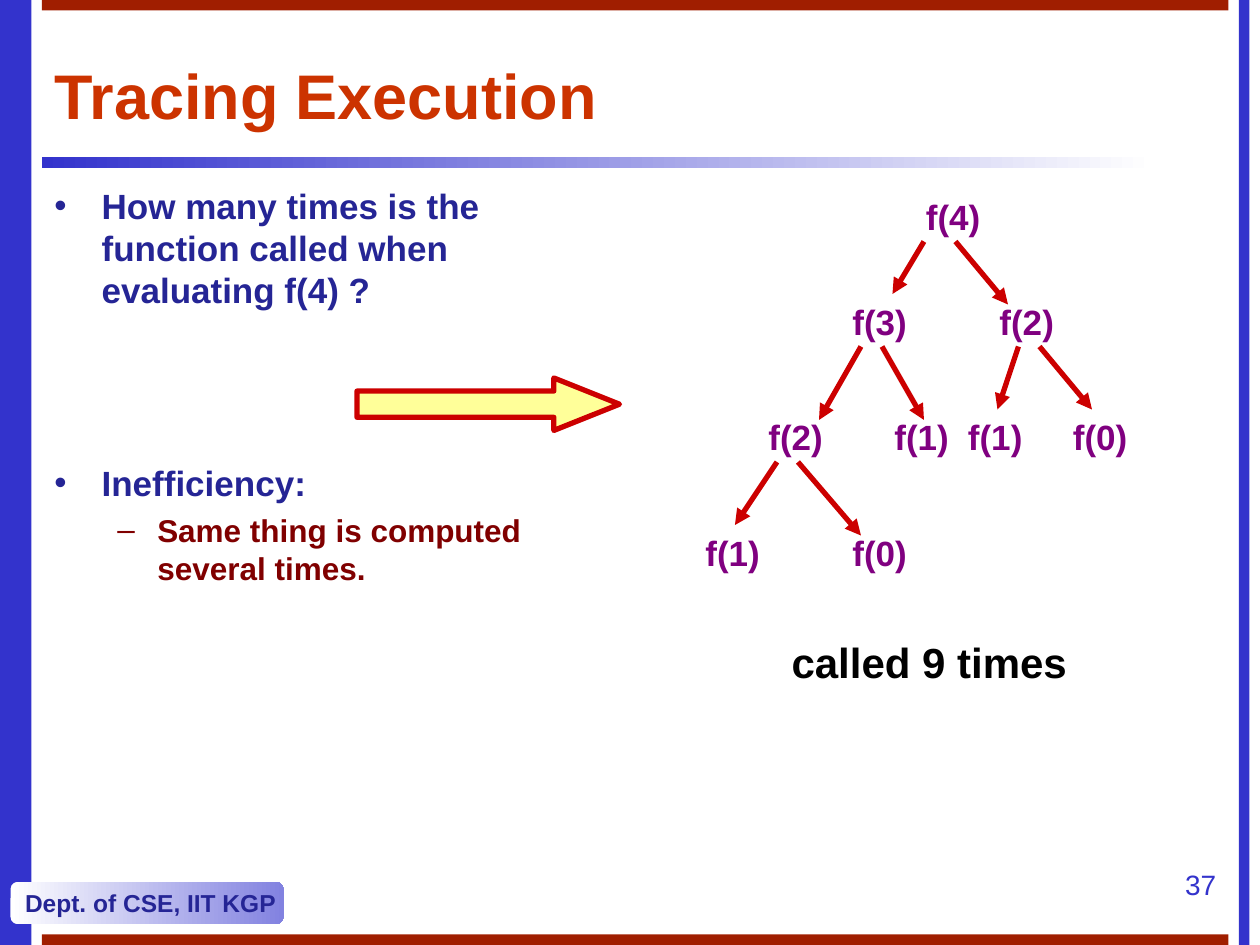
from dataclasses import dataclass

import pptx
import pptx.dml.color
import pptx.enum.shapes
import pptx.enum.text
import pptx.oxml
import pptx.oxml.ns
import pptx.util

PX = 7620
COLORS = {
    "blue": "3333CC", "navy": "252595", "lilac": "8282E0", "white": "FFFFFF",
    "brick": "A01E00", "title": "CC3300", "maroon": "800000", "purple": "800080",
    "red": "CC0000", "yellow": "FFFF99", "black": "000000",
}
SHAPE = pptx.enum.shapes.MSO_SHAPE
ALIGN = pptx.enum.text.PP_ALIGN
ANCHOR = pptx.enum.text.MSO_ANCHOR
NS = pptx.oxml.ns.nsdecls("a")


@dataclass
class Bar:
    x: int
    y: int
    w: int
    h: int
    color: str


@dataclass
class Call:
    x: int
    y: int
    label: str


@dataclass
class Edge:
    x1: int
    y1: int
    x2: int
    y2: int


@dataclass
class Bullet:
    text: str
    size: int
    color: str
    mark: str
    indent: int
    hang: int
    level: int = 0
    before: float = 0


BARS = [
    Bar(0, 0, 30, 900, "blue"),
    Bar(1180, 0, 10, 900, "blue"),
    Bar(40, 0, 1130, 10, "brick"),
    Bar(40, 890, 1130, 10, "brick"),
]
CALLS = [
    Call(870, 180, "f(4)"),
    Call(800, 280, "f(3)"), Call(940, 280, "f(2)"),
    Call(720, 390, "f(2)"), Call(840, 390, "f(1)"),
    Call(910, 390, "f(1)"), Call(1010, 390, "f(0)"),
    Call(660, 500, "f(1)"), Call(800, 500, "f(0)"),
]
EDGES = [
    Edge(880, 230, 850, 280), Edge(910, 230, 960, 290),
    Edge(820, 330, 780, 400), Edge(840, 330, 880, 400),
    Edge(970, 330, 950, 390), Edge(990, 330, 1040, 390),
    Edge(740, 440, 700, 500), Edge(760, 440, 820, 510),
]
BULLETS = [
    Bullet("How many times is the function called when evaluating f(4) ?",
           20, "navy", "•", 45, 45),
    Bullet("Inefficiency:", 20, "navy", "•", 45, 45, before=86),
    Bullet("Same thing is computed several times.",
           18, "maroon", "–", 98, 38, level=1, before=4.5),
]


def rgb(name: str) -> pptx.dml.color.RGBColor:
    return pptx.dml.color.RGBColor.from_string(COLORS[name])


def px(*values: int) -> list[int]:
    return [v * PX for v in values]


def write(p, text: str, *, size: int, color: str, bold: bool = True, align=ALIGN.LEFT) -> None:
    p.alignment = align
    r = p.add_run()
    r.text = text
    r.font.name = "Arial"
    r.font.size = pptx.util.Pt(size)
    r.font.bold = bold
    r.font.color.rgb = rgb(color)


def add_text_box(s, x: int, y: int, w: int, h: int):
    tf = s.shapes.add_textbox(*px(x, y, w, h)).text_frame
    tf.word_wrap = True
    return tf


def add_block(s, kind, x: int, y: int, w: int, h: int):
    sp = s.shapes.add_shape(kind, *px(x, y, w, h))
    sp.shadow.inherit = False
    sp.line.fill.background()
    return sp


def fill_gradient(sp, left: str, right: str) -> None:
    sp.fill.gradient()
    sp.fill.gradient_angle = 0
    for stop, name, position in zip(sp.fill.gradient_stops, (left, right), (0, 1)):
        stop.color.rgb = rgb(name)
        stop.position = position


def add_bar(s, bar: Bar) -> None:
    sp = add_block(s, SHAPE.RECTANGLE, bar.x, bar.y, bar.w, bar.h)
    sp.fill.solid()
    sp.fill.fore_color.rgb = rgb(bar.color)


def add_call(s, call: Call) -> None:
    tf = add_text_box(s, call.x, call.y, 90, 53)
    write(tf.paragraphs[0], call.label, size=20, color="purple")


def add_edge(s, edge: Edge) -> None:
    cx = s.shapes.add_connector(pptx.enum.shapes.MSO_CONNECTOR.STRAIGHT,
                                *px(edge.x1, edge.y1, edge.x2, edge.y2))
    cx.line.color.rgb = rgb("red")
    cx.line.width = pptx.util.Pt(3)
    cx.line._get_or_add_ln().append(pptx.oxml.parse_xml(f'<a:tailEnd {NS} type="triangle"/>'))
    cx._element.spPr.append(pptx.oxml.parse_xml(f"<a:effectLst {NS}/>"))


def add_bullet(p, b: Bullet) -> None:
    p.level = b.level
    pPr = p._p.get_or_add_pPr()
    pPr.set("marL", str(b.indent * PX))
    pPr.set("indent", str(-b.hang * PX))
    for xml in (f'<a:buClr {NS}><a:srgbClr val="{COLORS[b.color]}"/></a:buClr>',
                f'<a:buFont {NS} typeface="Arial"/>',
                f'<a:buChar {NS} char="{b.mark}"/>'):
        pPr.append(pptx.oxml.parse_xml(xml))
    p.space_before = pptx.util.Pt(b.before)
    write(p, b.text, size=b.size, color=b.color)


def main() -> None:
    prs = pptx.Presentation()
    prs.slide_width, prs.slide_height = px(1200, 900)
    s = prs.slides.add_slide(prs.slide_layouts[5])

    for bar in BARS:
        add_bar(s, bar)
    rule = add_block(s, SHAPE.RECTANGLE, 40, 150, 1060, 10)
    fill_gradient(rule, "blue", "white")

    badge = add_block(s, SHAPE.ROUNDED_RECTANGLE, 10, 840, 260, 40)
    badge.adjustments[0] = 0.17
    fill_gradient(badge, "white", "lilac")
    tf = badge.text_frame
    tf.word_wrap = False
    tf.vertical_anchor = ANCHOR.MIDDLE
    write(tf.paragraphs[0], "Dept. of CSE, IIT KGP", size=14, color="navy")

    title = s.shapes.title
    title.left, title.top, title.width, title.height = px(40, 40, 1130, 100)
    tf = title.text_frame
    tf.auto_size = pptx.enum.text.MSO_AUTO_SIZE.NONE
    tf.vertical_anchor = ANCHOR.MIDDLE
    write(tf.paragraphs[0], "Tracing Execution", size=36, color="title")

    tf = add_text_box(s, 40, 170, 554, 640)
    for i, bullet in enumerate(BULLETS):
        add_bullet(tf.add_paragraph() if i else tf.paragraphs[0], bullet)

    for call in CALLS:
        add_call(s, call)
    for edge in EDGES:
        add_edge(s, edge)

    arrow = add_block(s, SHAPE.RIGHT_ARROW, 340, 360, 250, 50)
    arrow.adjustments[0], arrow.adjustments[1] = 0.5, 1.25
    arrow.fill.solid()
    arrow.fill.fore_color.rgb = rgb("yellow")
    arrow.line.color.rgb = rgb("red")
    arrow.line.width = pptx.util.Pt(3)

    tf = add_text_box(s, 742, 600, 299, 60)
    write(tf.paragraphs[0], "called 9 times", size=24, color="black")
    tf = add_text_box(s, 1100, 820, 70, 60)
    write(tf.paragraphs[0], "37", size=16, color="blue", bold=False, align=ALIGN.RIGHT)

    prs.save("out.pptx")


if __name__ == "__main__":
    main()
